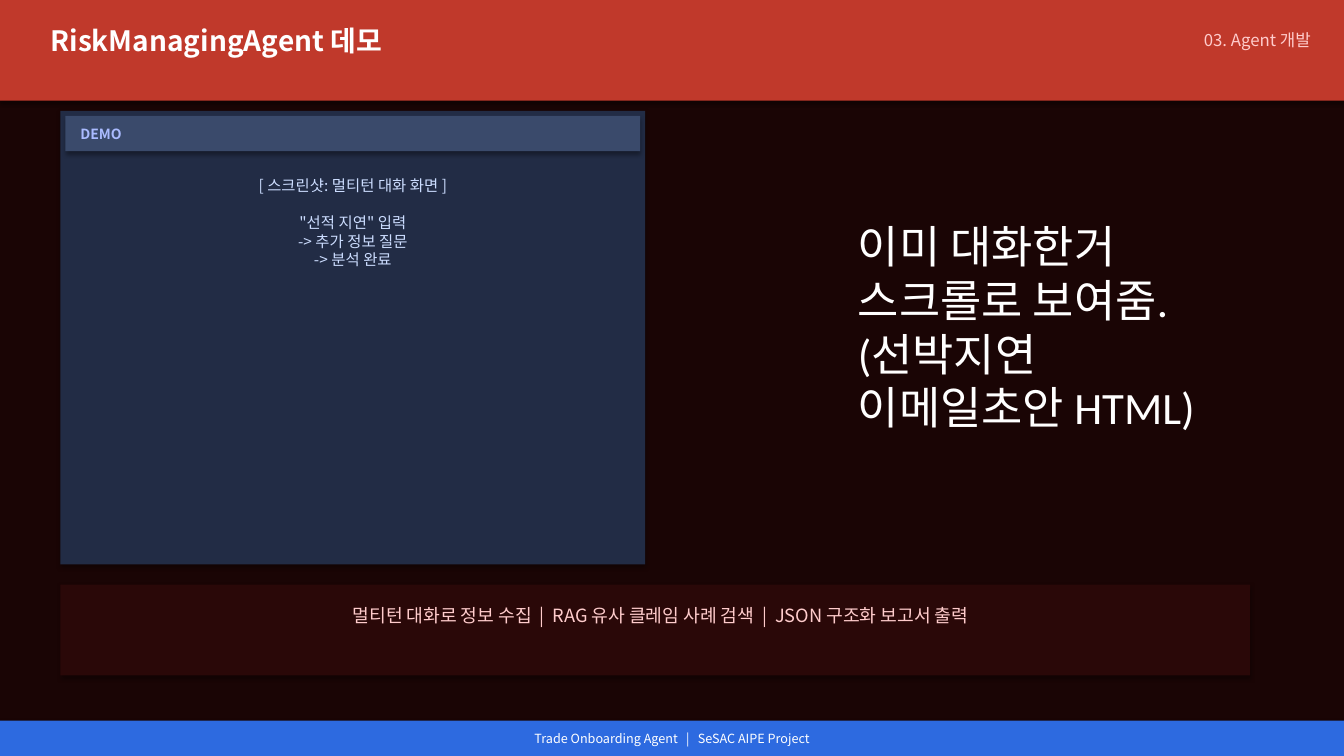
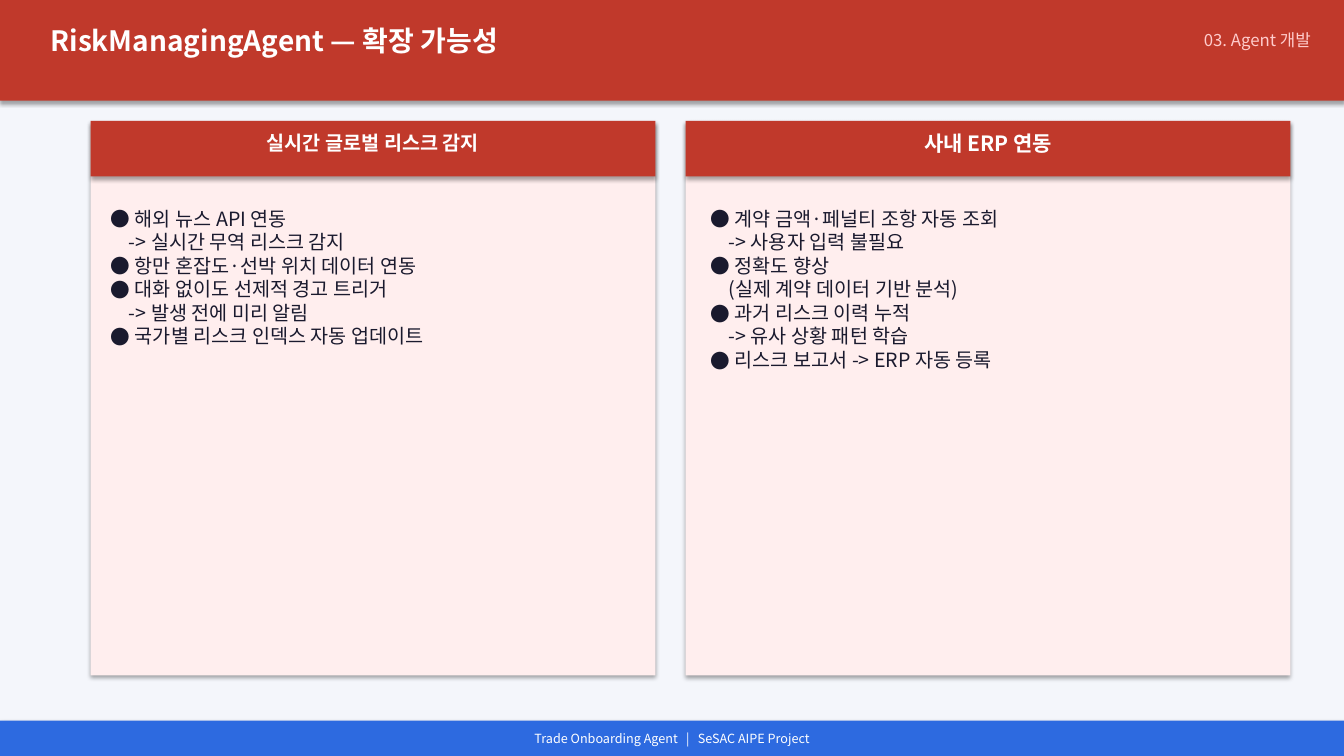
import pptx
import pptx.dml.color
import pptx.enum.shapes
import pptx.enum.text
import pptx.oxml.ns
import pptx.util
from lxml import etree

Inches = pptx.util.Inches
Pt = pptx.util.Pt
qn = pptx.oxml.ns.qn
ALIGN = pptx.enum.text.PP_ALIGN

SANS = "Noto Sans CJK KR"
COLORS = {
    "red": "C0392B", "blue": "2D6AE0", "white": "FFFFFF", "blush": "FFCCCC",
    "night": "1A0505", "mist": "F4F6FB", "screen": "222C45", "screen_bar": "3A4A6B",
    "demo_tag": "AABBFF", "screen_text": "CCDDFF", "maroon": "2A0808",
    "panel": "FFEEEE", "ink": "1A1A2E",
}
SLIDE_WIDTH, SLIDE_HEIGHT = 13.33, 7.5
FOOTER_HEIGHT = 0.35

SECTION = "03. Agent 개발"
FOOTER = ["Trade Onboarding Agent", "SeSAC AIPE Project"]

DEMO_TITLE = "RiskManagingAgent 데모"
DEMO_TAG = "DEMO"
SCREENSHOT_CAPTION = "[ 스크린샷: 멀티턴 대화 화면 ]"
SCREENSHOT_STEPS = ["\"선적 지연\" 입력", "-> 추가 정보 질문", "-> 분석 완료"]
FEATURES = ["멀티턴 대화로 정보 수집", "RAG 유사 클레임 사례 검색", "JSON 구조화 보고서 출력"]
PRESENTER_CUES = ["이미 대화한거 스크롤로 보여줌.", "(선박지연 이메일초안 HTML)"]

EXPANSION_TITLE = "RiskManagingAgent — 확장 가능성"
PANELS = [
    {"heading": "실시간 글로벌 리스크 감지", "heading_size": 14,
     "left": 0.9, "width": 5.6, "text_inset": 0.1,
     "points": [
         ("해외 뉴스 API 연동", "-> 실시간 무역 리스크 감지"),
         ("항만 혼잡도·선박 위치 데이터 연동", None),
         ("대화 없이도 선제적 경고 트리거", "-> 발생 전에 미리 알림"),
         ("국가별 리스크 인덱스 자동 업데이트", None),
     ]},
    {"heading": "사내 ERP 연동", "heading_size": 15,
     "left": 6.8, "width": 6, "text_inset": 0.15,
     "points": [
         ("계약 금액·페널티 조항 자동 조회", "-> 사용자 입력 불필요"),
         ("정확도 향상", "(실제 계약 데이터 기반 분석)"),
         ("과거 리스크 이력 누적", "-> 유사 상황 패턴 학습"),
         ("리스크 보고서 -> ERP 자동 등록", None),
     ]},
]


def rgb(color):
    return pptx.dml.color.RGBColor.from_string(COLORS[color])


def add_block(slide, box, color):
    block = slide.shapes.add_shape(
        pptx.enum.shapes.MSO_SHAPE.RECTANGLE, *[Inches(value) for value in box])
    block.fill.solid()
    block.fill.fore_color.rgb = rgb(color)
    block.line.fill.background()
    return block


def add_run(paragraph, text, size, color, bold=False, font=SANS):
    run = paragraph.add_run()
    run.text = text
    run.font.name = font
    run.font.size = Pt(size)
    run.font.bold = bold
    run.font.color.rgb = rgb(color)
    return run


def add_frame(slide, box, inset=0.05):
    frame = slide.shapes.add_textbox(*[Inches(value) for value in box]).text_frame
    frame.word_wrap = True
    frame.margin_top = frame.margin_bottom = Inches(inset)
    return frame


def next_paragraph(frame):
    first = frame.paragraphs[0]
    return frame.add_paragraph() if first.runs else first


def add_text(slide, box, lines, size, color, align=ALIGN.LEFT, bold=False, font=SANS, inset=0.05):
    frame = add_frame(slide, box, inset)
    for line in lines:
        paragraph = next_paragraph(frame)
        paragraph.alignment = align
        add_run(paragraph, line, size, color, bold, font)
    return frame


def add_separated(slide, box, parts, size, color, gap):
    paragraph = add_frame(slide, box).paragraphs[0]
    paragraph.alignment = ALIGN.CENTER
    add_run(paragraph, parts[0], size, color)
    for part in parts[1:]:
        divider = add_run(paragraph, " |", size, color)
        divider.font.element.set("spc", str(int(gap * 100))) if hasattr(divider.font, "element") \
            else divider._r.get_or_add_rPr().set("spc", str(int(gap * 100)))
        add_run(paragraph, " " + part, size, color)


def set_indent(paragraph, left, first_line, bullet=None):
    properties = paragraph._p.get_or_add_pPr()
    properties.set("marL", str(Inches(left)))
    properties.set("indent", str(Inches(first_line)))
    if bullet:
        etree.SubElement(properties, qn("a:buFont")).set("typeface", SANS)
        etree.SubElement(properties, qn("a:buChar")).set("char", bullet)
    else:
        etree.SubElement(properties, qn("a:buNone"))


def add_page(deck, title, background):
    slide = deck.slides.add_slide(deck.slide_layouts[5])
    slide.background.fill.solid()
    slide.background.fill.fore_color.rgb = rgb(background)

    heading = slide.shapes.title
    header = add_block(slide, (0, 0, SLIDE_WIDTH, 1), "red")
    heading.element.addprevious(header.element)
    heading.left, heading.top = Inches(0.4), Inches(0.18)
    heading.width, heading.height = Inches(10), Inches(0.65)
    frame = heading.text_frame
    frame.auto_size = pptx.enum.text.MSO_AUTO_SIZE.NONE
    frame.vertical_anchor = pptx.enum.text.MSO_ANCHOR.TOP
    frame.paragraphs[0].alignment = ALIGN.LEFT
    add_run(frame.paragraphs[0], title, 20, "white", bold=True)

    add_text(slide, (10.5, 0.25, 2.6, 0.5), [SECTION], 12, "blush", ALIGN.RIGHT)
    footer_top = SLIDE_HEIGHT - FOOTER_HEIGHT
    add_block(slide, (0, footer_top, SLIDE_WIDTH, FOOTER_HEIGHT), "blue")
    add_separated(slide, (0, footer_top + 0.05, SLIDE_WIDTH, 0.28), FOOTER, 9, "white", gap=4)
    return slide


def build_demo(deck):
    slide = add_page(deck, DEMO_TITLE, "night")
    add_block(slide, (0.6, 1.1, 5.8, 4.5), "screen")
    add_block(slide, (0.65, 1.15, 5.7, 0.35), "screen_bar")
    add_text(slide, (0.7, 1.2, 0.9, 0.25), [DEMO_TAG], 10, "demo_tag", bold=True)
    screenshot = add_text(slide, (0.75, 1.7, 5.5, 3.7), [SCREENSHOT_CAPTION, *SCREENSHOT_STEPS],
                          11, "screen_text", ALIGN.CENTER)
    screenshot.paragraphs[1].space_before = Pt(13.2)
    add_block(slide, (0.6, 5.8, 11.8, 0.9), "maroon")
    add_separated(slide, (0.8, 5.95, 11.5, 0.6), FEATURES, 13, "blush", gap=2.9)
    add_text(slide, (8.41, 2.07, 3.99, 2.48), PRESENTER_CUES, 32, "white",
             font="Calibri", inset=0.1)


def add_panel(slide, panel):
    left, width, inset = panel["left"], panel["width"], panel["text_inset"]
    add_block(slide, (left, 1.2, width, 5.5), "panel")
    add_block(slide, (left, 1.2, width, 0.55), "red")
    add_text(slide, (left, 1.25, width, 0.45), [panel["heading"]],
             panel["heading_size"], "white", ALIGN.CENTER, bold=True)
    frame = add_frame(slide, (left + inset, 2, width - 2 * inset, 4.3))
    for point, detail in panel["points"]:
        paragraph = next_paragraph(frame)
        set_indent(paragraph, 0.24, -0.24, "●")
        add_run(paragraph, point, 14, "ink")
        if detail:
            paragraph = next_paragraph(frame)
            set_indent(paragraph, 0.18, 0)
            add_run(paragraph, detail, 14, "ink")


def build_expansion(deck):
    slide = add_page(deck, EXPANSION_TITLE, "mist")
    for panel in PANELS:
        add_panel(slide, panel)


def main():
    deck = pptx.Presentation()
    deck.slide_width, deck.slide_height = Inches(SLIDE_WIDTH), Inches(SLIDE_HEIGHT)
    build_demo(deck)
    build_expansion(deck)
    deck.save("out.pptx")


if __name__ == "__main__":
    main()
